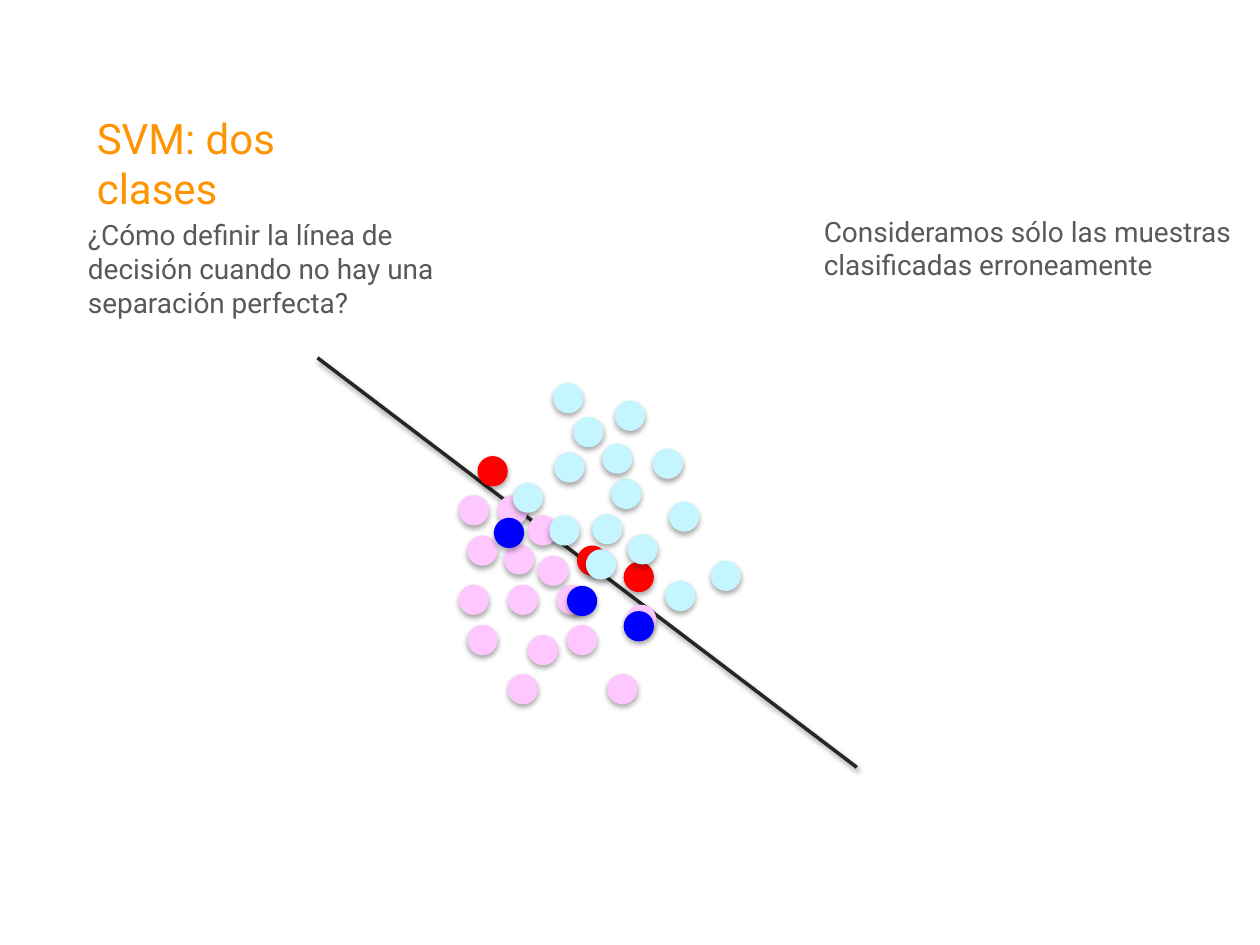
import lxml.etree
import pptx
import pptx.dml.color
import pptx.enum.shapes
import pptx.enum.text
import pptx.oxml.ns
import pptx.util

COLS, ROWS = 1000, 750
CELL = pptx.util.Inches(0.01)
DOT = 24
FONT = "Roboto"
INK, GREY, GOLD = "262626", "595959", "FF9300"

PINK = [(371, 425), (364, 393), (400, 432), (403, 464), (419, 409),
        (450, 496), (442, 464), (482, 535), (497, 480), (395, 393),
        (371, 496), (364, 464), (427, 441), (403, 535), (419, 504)]
RED = [(379, 362), (458, 433), (495, 446)]
CYAN = [(465, 436), (488, 318), (440, 359), (455, 331), (518, 356),
        (436, 409), (485, 380), (498, 424), (528, 461), (531, 398),
        (478, 352), (407, 383), (470, 408), (564, 445), (439, 304)]
BLUE = [(450, 465), (495, 485), (392, 411)]
TEAMS = [[("FFC7FF", PINK), ("FF0000", RED)],
         [("C5F5FF", CYAN), ("0000FF", BLUE)]]

TEXTS = [
    ((67, 84, 253, 91), "SVM: dos clases", 24, GOLD),
    ((60, 168, 346, 118), "¿Cómo definir la línea de decisión cuando no hay "
     "una separación perfecta?", 16, GREY),
    ((644, 165, 362, 91), "Consideramos sólo las muestras clasificadas "
     "erroneamente", 16, GREY),
]


def span(*cells):
    return [cell * CELL for cell in cells]


def paint(color, code):
    color.rgb = pptx.dml.color.RGBColor.from_string(code)


def shade(shape, gap, alpha):
    def add(node, tag, **attrs):
        name = pptx.oxml.ns.qn(tag)
        return lxml.etree.SubElement(node, name, attrs)

    effects = add(shape._element.spPr, "a:effectLst")
    shadow = add(effects, "a:outerShdw", blurRad="40000",
                 dist=str(pptx.util.Pt(gap)), dir="5400000", rotWithShape="0")
    color = add(shadow, "a:srgbClr", val="000000")
    add(color, "a:alpha", val=str(alpha * 1000))


def add_line(slide, start, end):
    kind = pptx.enum.shapes.MSO_CONNECTOR.STRAIGHT
    line = slide.shapes.add_connector(kind, *span(*start, *end))
    paint(line.line.color, INK)
    line.line.width = pptx.util.Pt(2)
    shade(line, 1.6, 38)


def add_dot(group, spot, code):
    kind = pptx.enum.shapes.MSO_SHAPE.OVAL
    dot = group.shapes.add_shape(kind, *span(*spot, DOT, DOT))
    dot.fill.solid()
    paint(dot.fill.fore_color, code)
    dot.line.fill.background()
    shade(dot, 1.8, 35)


def add_team(slide, team):
    group = slide.shapes.add_group_shape()
    for code, spots in team:
        for spot in spots:
            add_dot(group, spot, code)


def add_text(slide, area, text, size, code):
    frame = slide.shapes.add_textbox(*span(*area)).text_frame
    frame.word_wrap = True
    frame.vertical_anchor = pptx.enum.text.MSO_ANCHOR.TOP
    frame.text = text
    font = frame.paragraphs[0].runs[0].font
    font.name = FONT
    font.size = pptx.util.Pt(size)
    paint(font.color, code)


def main():
    deck = pptx.Presentation()
    deck.slide_width, deck.slide_height = span(COLS, ROWS)
    slide = deck.slides.add_slide(deck.slide_layouts[6])
    add_line(slide, (252, 284), (680, 609))
    for team in TEAMS:
        add_team(slide, team)
    for item in TEXTS:
        add_text(slide, *item)
    deck.save("out.pptx")


if __name__ == "__main__":
    main()
